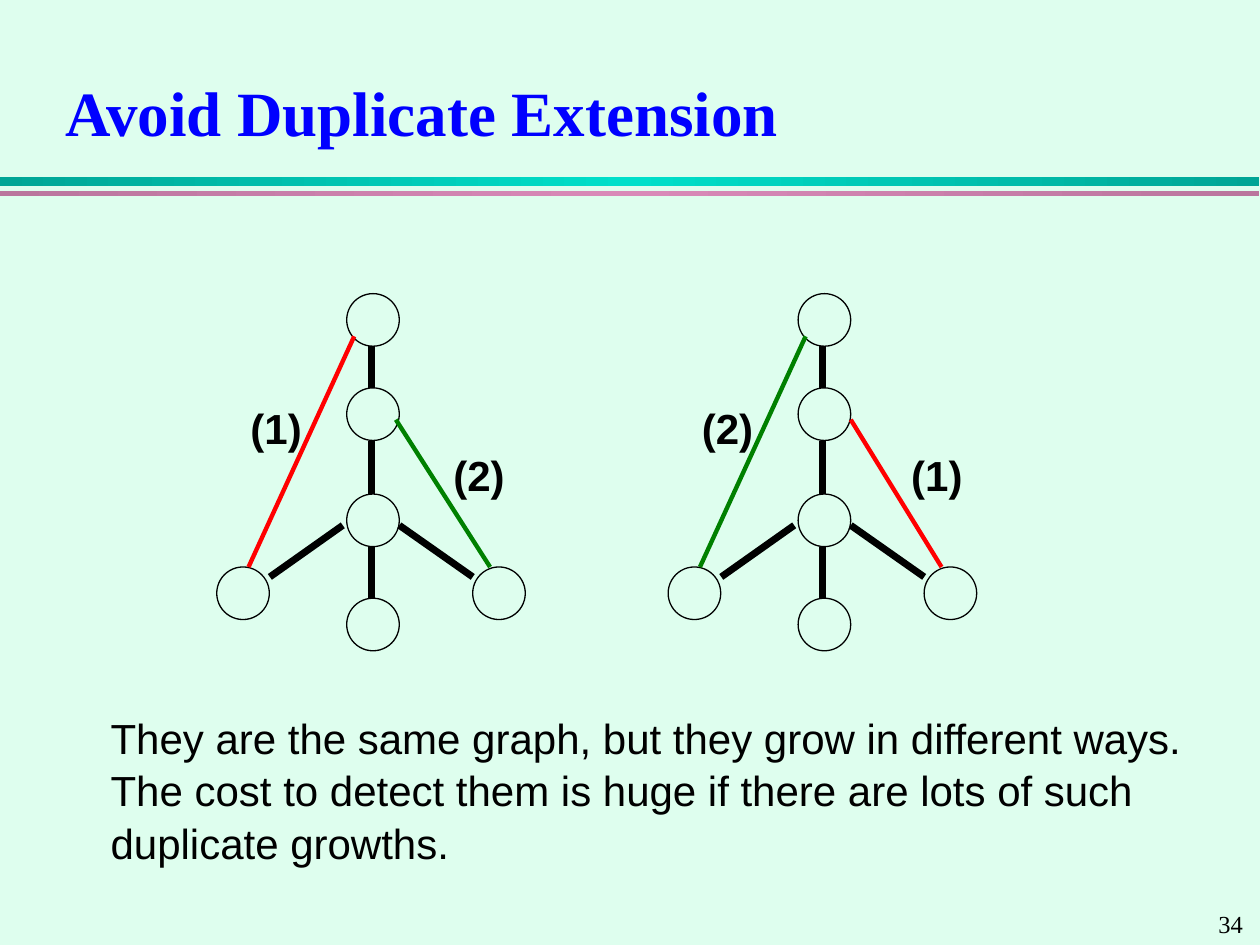
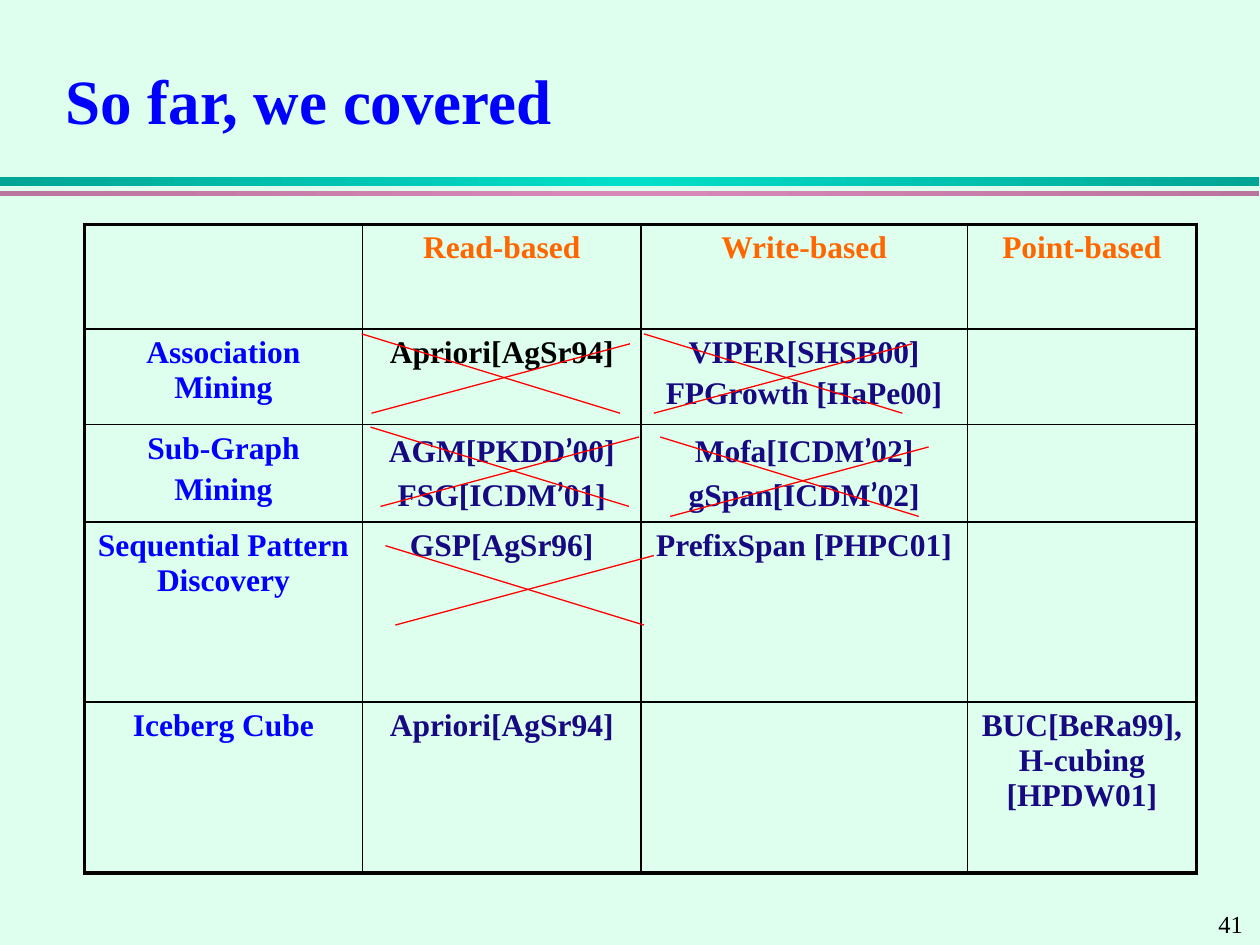
from copy import deepcopy

from pptx import Presentation
from pptx.dml.color import RGBColor
from pptx.enum.shapes import MSO_CONNECTOR as Connector, MSO_SHAPE as Shape
from pptx.enum.text import MSO_ANCHOR as Anchor, PP_ALIGN as Align
from pptx.oxml.ns import qn
from pptx.oxml.xmlchemy import OxmlElement
from pptx.util import Cm, Pt

MINT, BLACK, BLUE, NAVY = "DEFEEE", "000000", "0000FF", "170981"
ORANGE, RED, GREEN = "FF6600", "FF0000", "008000"
SERIF, SANS, QUOTE_FONT = "Times New Roman", "Arial", "Lato"

# top, height, edge colour, middle colour
BANDS = [(3.56, 0.2, "00A595", "00DFCA"), (3.86, 0.1, "BA759D", "D989B8")]

# Search trees: positions inside a tree are measured from its left edge
NODE = 1.06
SPINE_LEFT, SPINE_TOPS = 2.62, [5.92, 7.82, 9.96, 12.06]
LEAF_TOP, LEAF_LEFTS = 11.43, (0, 5.16)
BRANCHES = [((2.54, 10.59), (1.07, 11.63)), ((3.68, 10.59), (5.16, 11.63))]
FIRST, SECOND = ("(1)", RED), ("(2)", GREEN)
TREES = [
    {"left": 4.37, "extensions": (FIRST, SECOND), "right_start": 3.61, "right_label": 4.52},
    {"left": 13.47, "extensions": (SECOND, FIRST), "right_start": 3.68, "right_label": 4.65},
]
REMARK = [
    "They are the same graph, but they grow in different ways.",
    "The cost to detect them is huge if there are lots of such",
    "duplicate growths.",
]

# Table of covered methods: each cell is a list of paragraphs
METHODS = [
    [[], ["Read-based"], ["Write-based"], ["Point-based"]],
    [["Association Mining"], ["Apriori[AgSr94]"], ["VIPER[SHSB00]", "FPGrowth [HaPe00]"], []],
    [["Sub-Graph", "Mining"], ["AGM[PKDD’00]", "FSG[ICDM’01]"],
     ["Mofa[ICDM’02]", "gSpan[ICDM’02]"], []],
    [["Sequential Pattern Discovery"], ["GSP[AgSr96]"], ["PrefixSpan [PHPC01]"], []],
    [["Iceberg Cube"], ["Apriori[AgSr94]"], [], ["BUC[BeRa99], H-cubing [HPDW01]"]],
]
COLUMN_WIDTHS = [5.61, 5.61, 6.58, 4.62]
ROW_HEIGHTS = [2.11, 1.93, 1.96, 3.63, 3.45]
CROSSES = [(7.29, 6.73), (7.47, 8.61), (12.98, 6.73), (7.77, 11), (13.31, 8.81)]
CROSS_STROKES = [((0.2, 1.6), (5.41, 0.2)), ((5.21, 1.6), (0, 0))]


def rgb(color):
    return RGBColor.from_string(color)


def write(frame, lines, size, font=SERIF, color=BLACK, bold=False, align=None,
          gap=0, spacing=None):
    """Fill a text frame, one paragraph per line; gap is the space between them."""
    for index, line in enumerate(lines):
        para = frame.add_paragraph() if index else frame.paragraphs[0]
        para.alignment = align
        para.line_spacing = spacing
        if index and gap:
            para.space_before = Pt(gap)
        for part in line.replace("’", "|’|").split("|"):
            span = para.add_run()
            span.text = part
            span.font.name = QUOTE_FONT if part == "’" else font
            span.font.size = Pt(size)
            span.font.bold = bold
            span.font.color.rgb = rgb(color)


def add_text(page, left, top, width, height, lines, size, wrap=True,
             anchor=Anchor.TOP, **style):
    box = page.shapes.add_textbox(Cm(left), Cm(top), Cm(width), Cm(height))
    box.text_frame.word_wrap = wrap
    box.text_frame.vertical_anchor = anchor
    write(box.text_frame, lines, size, **style)


def add_line(page, start, end, color, width, origin=(0, 0)):
    points = [Cm(value + shift) for point in (start, end)
              for value, shift in zip(point, origin)]
    line = page.shapes.add_connector(Connector.STRAIGHT, *points)
    line.line.color.rgb = rgb(color)
    line.line.width = Pt(width)
    line._element.spPr.append(OxmlElement("a:effectLst"))


def add_node(page, left, top, filled):
    node = page.shapes.add_shape(Shape.OVAL, Cm(left), Cm(top), Cm(NODE), Cm(NODE))
    node.shadow.inherit = False
    if filled:
        node.fill.solid()
        node.fill.fore_color.rgb = rgb(MINT)
    else:
        node.fill.background()
    node.line.color.rgb = rgb(BLACK)
    node.line.width = Pt(0.75)


def add_band(page, top, height, edge, middle):
    band = page.shapes.add_shape(Shape.RECTANGLE, 0, Cm(top), Cm(25.38), Cm(height))
    band.shadow.inherit = False
    band.line.fill.background()
    band.fill.gradient()
    band.fill.gradient_angle = 0
    stops = band._element.spPr.find(".//" + qn("a:gsLst"))
    stops.insert(1, deepcopy(stops[0]))
    for stop, color, position in zip(band.fill.gradient_stops, (edge, middle, edge), (0, 0.5, 1)):
        stop.color.rgb = rgb(color)
        stop.position = position


def add_page(deck, title, number, title_height):
    page = deck.slides.add_slide(deck.slide_layouts[6])
    page.background.fill.solid()
    page.background.fill.fore_color.rgb = rgb(MINT)
    for band in BANDS:
        add_band(page, *band)
    add_text(page, 24.31, 18.21, 1.09, 0.84, [number], 14)
    add_text(page, 1.07, 1.07, 23.29, title_height, [title], 36,
             anchor=Anchor.MIDDLE, color=BLUE, bold=True)
    return page


def add_tree(page, left, extensions, right_start, right_label):
    origin = (left, 0)
    for top in SPINE_TOPS:
        add_node(page, left + SPINE_LEFT, top, filled=top != SPINE_TOPS[-1])
    for leaf_left in LEAF_LEFTS:
        add_node(page, left + leaf_left, LEAF_TOP, filled=leaf_left > 0)

    middle = SPINE_LEFT + NODE / 2 - 0.03
    spine = [((middle, upper + NODE), (middle, lower))
             for upper, lower in zip(SPINE_TOPS, SPINE_TOPS[1:])]
    for start, end in spine + BRANCHES:
        add_line(page, start, end, BLACK, 4, origin)

    strokes = [((2.77, 6.78), (0.64, LEAF_TOP)), ((right_start, 8.46), (5.51, LEAF_TOP))]
    label_places = [(0.43, 7.95), (right_label, 8.89)]
    for (label, color), (start, end), (x, y) in zip(extensions, strokes, label_places):
        add_line(page, start, end, color, 2.5, origin)
        add_text(page, left + x, y, 1.55, 1.27, [label], 24, wrap=False,
                 font=SANS, bold=True, spacing=1.04)


def set_borders(cell, **widths):
    """Draw black borders; the sides are named L, R, T and B."""
    for side, width in widths.items():
        border = OxmlElement(f"a:ln{side}")
        border.set("w", str(Pt(width)))
        fill = OxmlElement("a:solidFill")
        color = OxmlElement("a:srgbClr")
        color.set("val", BLACK)
        fill.append(color)
        border.append(fill)
        cell._tc.get_or_add_tcPr().append(border)


def cell_color(row, column):
    if row == 0:
        return ORANGE
    if column == 0:
        return BLUE
    return BLACK if (row, column) == (1, 1) else NAVY


def add_methods_table(page):
    rows, columns = len(ROW_HEIGHTS), len(COLUMN_WIDTHS)
    table = page.shapes.add_table(rows, columns, Cm(1.7), Cm(4.52),
                                  Cm(sum(COLUMN_WIDTHS)), Cm(sum(ROW_HEIGHTS))).table
    table.first_row = table.horz_banding = False
    for column, width in zip(table.columns, COLUMN_WIDTHS):
        column.width = Cm(width)
    for row, height in zip(table.rows, ROW_HEIGHTS):
        row.height = Cm(height)
    for r, row in enumerate(METHODS):
        for c, lines in enumerate(row):
            cell = table.cell(r, c)
            outer = {"L": c == 0, "R": c == columns - 1, "T": r == 0, "B": r == rows - 1}
            set_borders(cell, **{side: 2.25 if edge else 1 for side, edge in outer.items()})
            cell.fill.background()
            write(cell.text_frame, lines, 18, color=cell_color(r, c), bold=True,
                  align=Align.CENTER, gap=3.6)


def main():
    deck = Presentation()
    deck.slide_width, deck.slide_height = Cm(25.4), Cm(19.05)

    page = add_page(deck, "Avoid Duplicate Extension", "34", title_height=2.33)
    for tree in TREES:
        add_tree(page, **tree)
    add_text(page, 1.98, 14.2, 22.58, 3.3, REMARK, 24, wrap=False, font=SANS, spacing=1.04)

    page = add_page(deck, "So far, we covered", "41", title_height=1.85)
    add_methods_table(page)
    for origin in CROSSES:
        for start, end in CROSS_STROKES:
            add_line(page, start, end, RED, 0.75, origin)

    deck.save("out.pptx")


if __name__ == "__main__":
    main()
